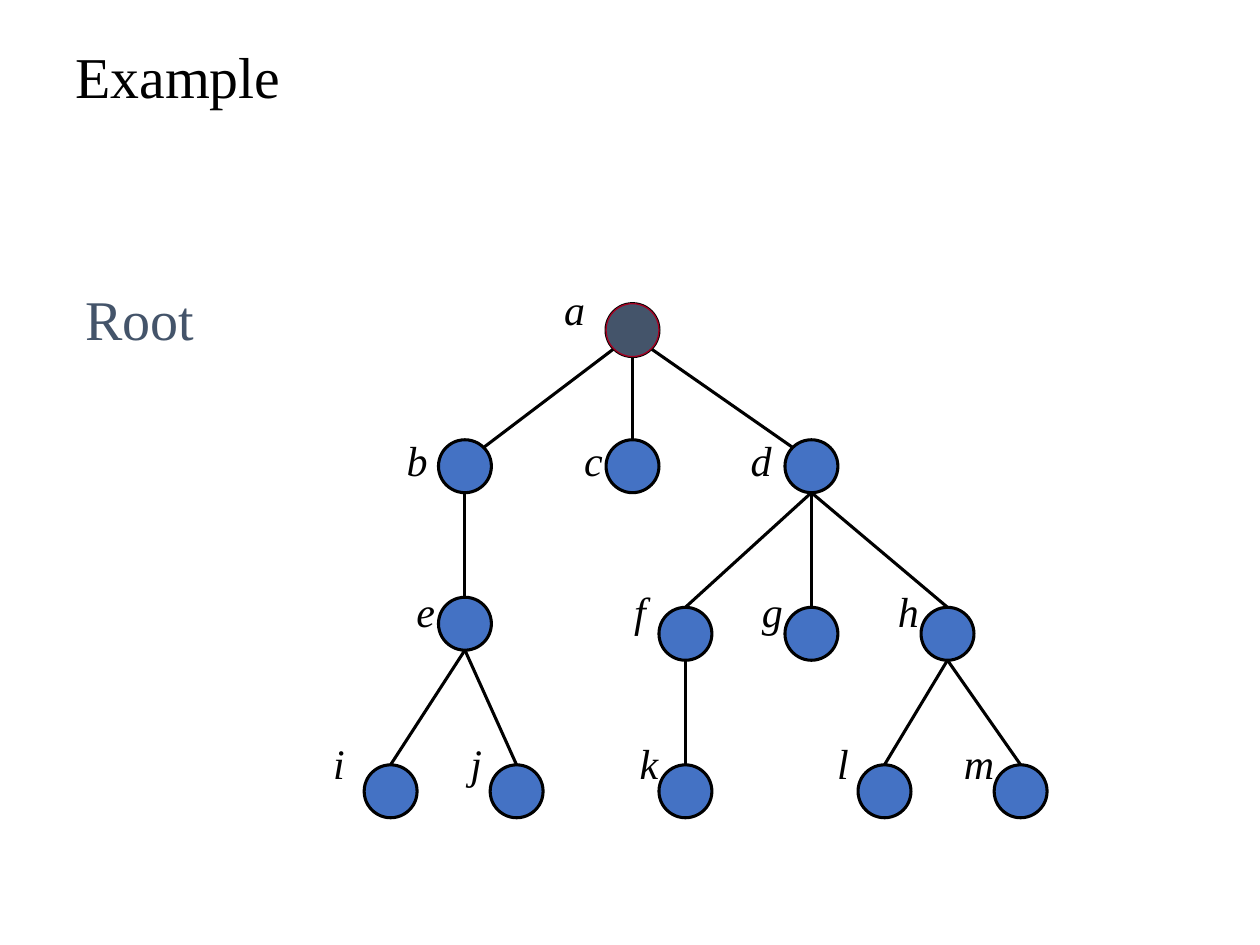
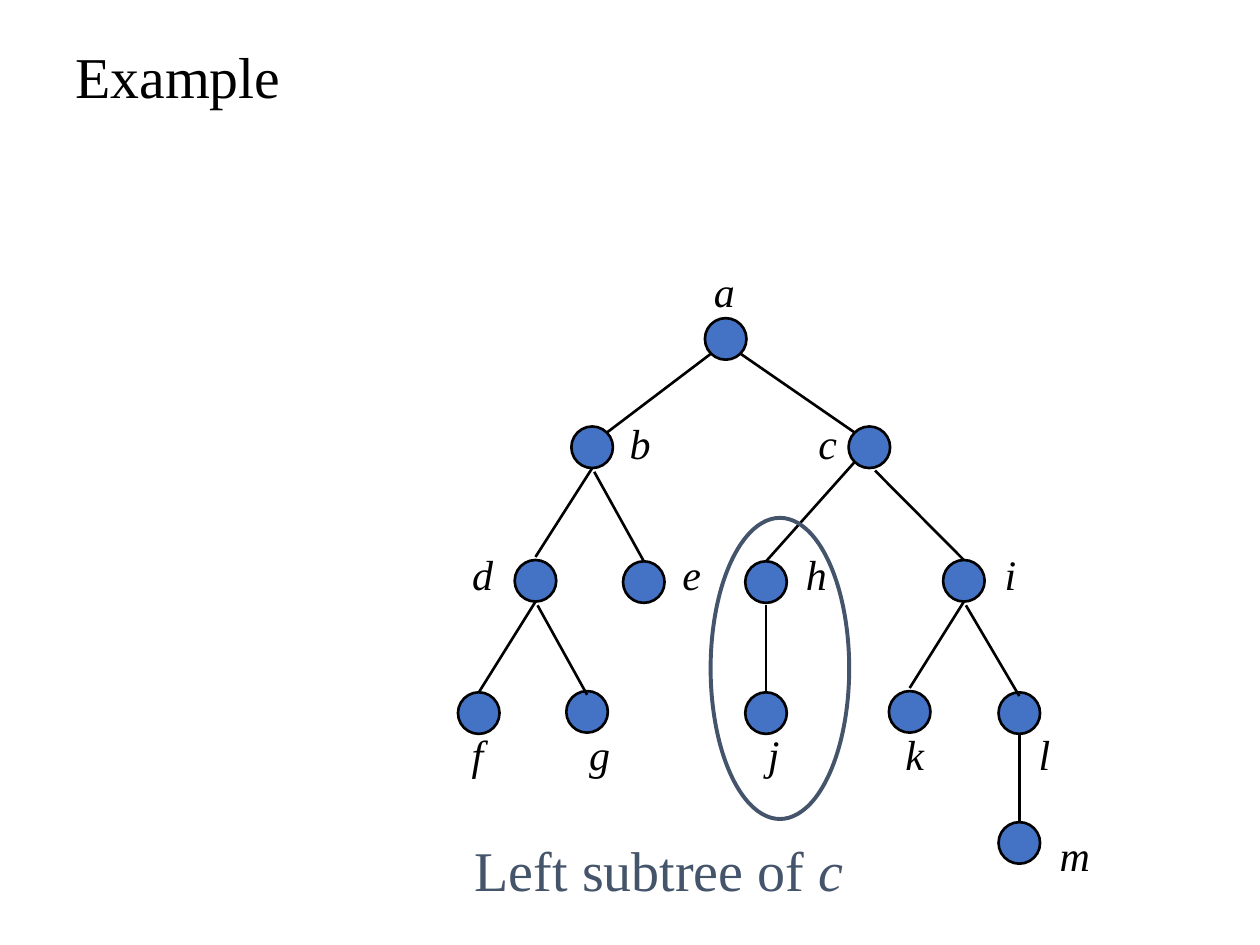
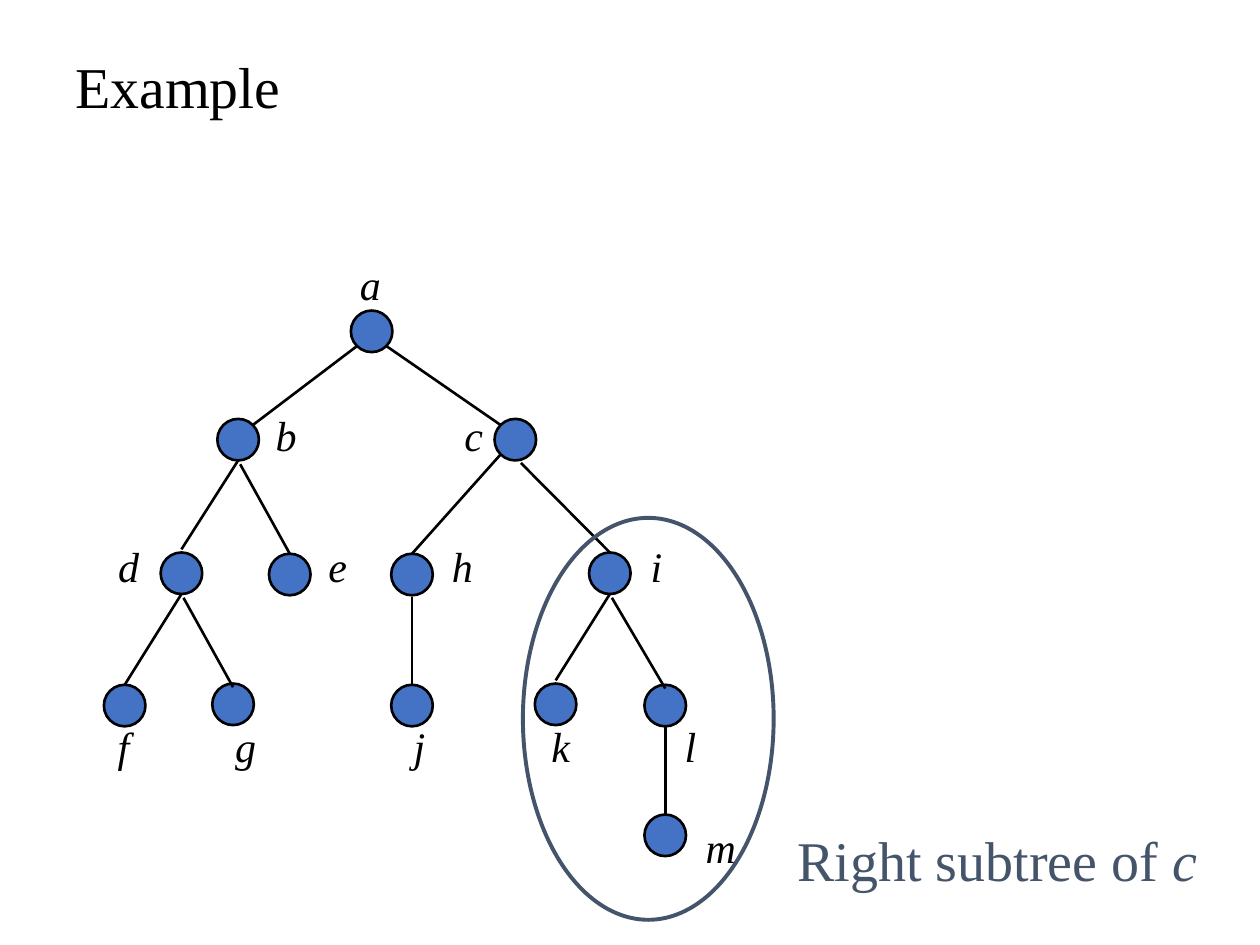
"""Build three slides that show a tree's root and its left and right subtrees."""
from dataclasses import dataclass

from lxml.etree import SubElement
from pptx import Presentation
from pptx.dml.color import RGBColor as Rgb
from pptx.enum.shapes import MSO_CONNECTOR as Connector, MSO_SHAPE as Shape
from pptx.enum.text import MSO_ANCHOR as Anchor, PP_ALIGN as Align
from pptx.oxml.ns import qn
from pptx.util import Inches, Pt


@dataclass(frozen=True)
class Theme:
    font: str = "Times New Roman"
    ink: str = "000000"
    node: str = "4472C4"
    accent: str = "44546A"
    root_rim: str = "A50021"
    title_size: float = 33
    caption_size: float = 32
    label_size: float = 24
    ring_width: float = 2.25
    rim_width: float = 0.75


THEME = Theme()
LABEL_W, LABEL_H = 0.4, 0.4

ANCHORS = {
    "top": (0, -1), "bottom": (0, 1),
    "above": (0, -1.15), "below": (0, 1.1), "inside": (0, -0.82),
    "under": (0.1, 1.18), "under right": (0.27, 1.12),
    "lower left": (-0.71, 0.71), "lower right": (0.71, 0.71),
    "upper left": (-0.71, -0.71), "upper right": (0.71, -0.71),
}

GENERAL_TREE = {
    "size": 0.42,
    "line": 1.75,
    "nodes": {
        "a": (5.02, 2.62), "b": (3.69, 3.7), "c": (5.02, 3.7), "d": (6.44, 3.7),
        "e": (3.69, 4.95), "f": (5.44, 5.03), "g": (6.44, 5.03), "h": (7.52, 5.03),
        "i": (3.1, 6.28), "j": (4.1, 6.28), "k": (5.44, 6.28),
        "l": (7.02, 6.28), "m": (8.1, 6.28),
    },
    "edges": [
        ("a", "lower left", "b", "upper right"), ("a", "bottom", "c", "top"),
        ("a", "lower right", "d", "upper left"),
        *[(parent, "bottom", child, "top")
          for parent, child in ("be", "df", "dg", "dh", "ei", "ej", "fk", "hl", "hm")],
    ],
    "label_rows": [
        (2.25, {"a": 4.56}),
        (3.45, {"b": 3.31, "c": 4.71, "d": 6.04}),
        (4.65, {"e": 3.38, "f": 5.08, "g": 6.13, "h": 7.21}),
        (5.85, {"i": 2.69, "j": 3.78, "k": 5.15, "l": 6.69, "m": 7.77}),
    ],
}

BINARY_TREE = {
    "size": 0.33,
    "line": 1.5,
    "nodes": {
        "a": (5.76, 2.69), "b": (4.7, 3.55), "c": (6.9, 3.55),
        "d": (4.25, 4.61), "e": (5.11, 4.62), "h": (6.08, 4.62), "i": (7.65, 4.61),
        "f": (3.8, 5.66), "g": (4.66, 5.65), "j": (6.08, 5.66),
        "k": (7.22, 5.65), "l": (8.09, 5.66), "m": (8.09, 6.69),
    },
    "edges": [
        ("a", "lower left", "b", "upper right"), ("a", "lower right", "c", "upper left"),
        ("b", "bottom", "d", "above"), ("b", "under", "e", "top"),
        ("c", "lower left", "h", "top"), ("c", "under right", "i", "top"),
        ("d", "bottom", "f", "top"), ("d", "under", "g", "inside"),
        ("h", "below", "j", "top"),
        ("i", "bottom", "k", "above"), ("i", "under", "l", "inside"),
        ("l", "bottom", "m", "top"),
    ],
    "label_rows": [
        (2.11, {"a": 5.75}),
        (3.31, {"b": 5.08, "c": 6.57}),
        (4.35, {"d": 3.83, "e": 5.49, "h": 6.48, "i": 8.02}),
        (5.78, {"f": 3.79, "g": 4.76, "j": 6.14, "k": 7.26, "l": 8.29}),
        (6.58, {"m": 8.53}),
    ],
}

SLIDES = [
    {"title_top": 0.17, "tree": GENERAL_TREE, "shift": (0, 0), "root": "a",
     "caption": [("Root", False)], "caption_box": (0.58, 2.21, 1.3, 0.64)},
    {"title_top": 0.17, "tree": BINARY_TREE, "shift": (0, 0),
     "caption": [("Left subtree of ", False), ("c", True)],
     "caption_box": (3.67, 6.58, 3.52, 0.64), "ring": (5.64, 4.11, 1.1, 2.39)},
    {"title_top": 0.25, "tree": BINARY_TREE, "shift": (-2.81, -0.06),
     "caption": [("Right subtree of ", False), ("c", True)],
     "caption_box": (6.23, 6.5, 3.52, 0.64), "ring": (4.15, 4.11, 1.99, 3.19)},
]


def add_text(slide, box, runs, size, color):
    holder = slide.shapes.add_textbox(*map(Inches, box))
    frame = holder.text_frame
    frame.word_wrap = True
    paragraph = frame.paragraphs[0]
    for words, italic in runs:
        run = paragraph.add_run()
        run.text = words
        run.font.name = THEME.font
        run.font.size = Pt(size)
        run.font.italic = italic
        run.font.color.rgb = Rgb.from_string(color)
    return frame


def add_title(slide, top):
    frame = add_text(slide, (0.5, top, 9, 0.92), [("Example", False)],
                     THEME.title_size, THEME.ink)
    frame.vertical_anchor = Anchor.MIDDLE
    frame.paragraphs[0].line_spacing = 0.9


def add_label(slide, letter, center, top):
    frame = add_text(slide, (center - LABEL_W / 2, top, LABEL_W, LABEL_H),
                     [(letter, True)], THEME.label_size, THEME.ink)
    frame.margin_left = frame.margin_right = frame.margin_top = frame.margin_bottom = 0
    frame.paragraphs[0].alignment = Align.CENTER


def add_ellipse(slide, box, fill, line, width):
    ellipse = slide.shapes.add_shape(Shape.OVAL, *map(Inches, box))
    ellipse.shadow.inherit = False
    if fill:
        ellipse.fill.solid()
        ellipse.fill.fore_color.rgb = Rgb.from_string(fill)
    else:
        ellipse.fill.background()
    ellipse.line.color.rgb = Rgb.from_string(line)
    ellipse.line.width = Pt(width)


def add_edge(slide, start, end, width):
    edge = slide.shapes.add_connector(Connector.STRAIGHT, *map(Inches, (*start, *end)))
    edge.line.color.rgb = Rgb.from_string(THEME.ink)
    edge.line.width = Pt(width)
    SubElement(edge.element.spPr, qn("a:effectLst"))


def add_tree(slide, tree, shift, root=None):
    dx, dy = shift
    size, width = tree["size"], tree["line"]
    radius = size / 2
    centers = {letter: (x + dx, y + dy) for letter, (x, y) in tree["nodes"].items()}

    def node_box(letter):
        x, y = centers[letter]
        return x - radius, y - radius, size, size

    def anchor_point(letter, anchor):
        return [c + radius * step for c, step in zip(centers[letter], ANCHORS[anchor])]

    for letter in centers:
        add_ellipse(slide, node_box(letter), THEME.node, THEME.ink, width)
    for parent, leave, child, reach in tree["edges"]:
        add_edge(slide, anchor_point(parent, leave), anchor_point(child, reach), width)
    for top, row in tree["label_rows"]:
        for letter, center in row.items():
            add_label(slide, letter, center + dx, top + dy)
    if root:
        add_ellipse(slide, node_box(root), THEME.accent, THEME.root_rim, THEME.rim_width)


def main():
    deck = Presentation()
    deck.slide_width, deck.slide_height = Inches(10), Inches(7.5)
    for content in SLIDES:
        slide = deck.slides.add_slide(deck.slide_layouts[6])
        add_title(slide, content["title_top"])
        add_tree(slide, content["tree"], content["shift"], content.get("root"))
        add_text(slide, content["caption_box"], content["caption"],
                 THEME.caption_size, THEME.accent)
        if "ring" in content:
            add_ellipse(slide, content["ring"], None, THEME.accent, THEME.ring_width)
    deck.save("out.pptx")


if __name__ == "__main__":
    main()
